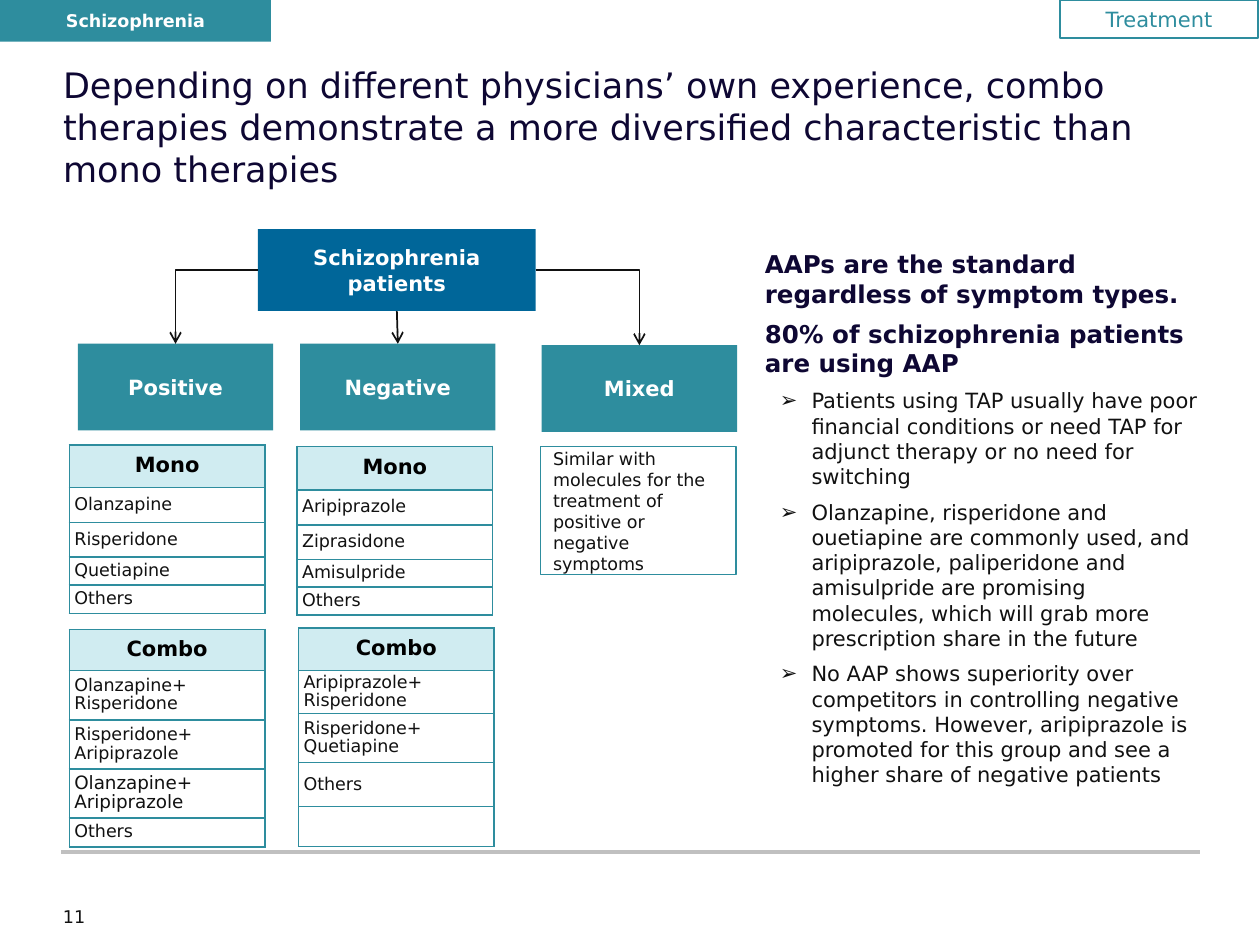
from lxml.etree import SubElement
from pptx import Presentation
from pptx.dml.color import RGBColor
from pptx.enum.shapes import MSO_CONNECTOR as Link, MSO_SHAPE as Shape
from pptx.enum.text import MSO_ANCHOR as Anchor, MSO_AUTO_SIZE as Fit, PP_ALIGN as Align
from pptx.oxml.ns import qn
from pptx.util import Cm, Pt

TEAL = RGBColor(0x2E, 0x8D, 0x9E)
PALE = RGBColor(0xD0, 0xEC, 0xF1)
BLUE = RGBColor(0x00, 0x66, 0x99)
NAVY = RGBColor(0x0E, 0x07, 0x33)
INK = RGBColor(0x11, 0x11, 0x11)
GRAY = RGBColor(0xC0, 0xC0, 0xC0)
BLACK = RGBColor(0, 0, 0)
WHITE = RGBColor(0xFF, 0xFF, 0xFF)
FONT = "DejaVu Sans"
WIDE = 3.94  # width of every group box and drug table

GROUPS = [("Positive", 1.57, 6.93), ("Negative", 6.05, 6.93), ("Mixed", 10.92, 6.96)]
TABLES = [  # left, top, row heights, head, drugs
    (1.4, 8.97, [0.86, 0.7, 0.7, 0.57, 0.57], "Mono",
     ["Olanzapine", "Risperidone", "Quetiapine", "Others"]),
    (1.4, 12.69, [0.83, 0.99, 0.99, 0.99, 0.58], "Combo",
     ["Olanzapine+ Risperidone", "Risperidone+ Aripiprazole",
      "Olanzapine+ Aripiprazole", "Others"]),
    (5.99, 9.0, [0.88, 0.7, 0.7, 0.56, 0.56], "Mono",
     ["Aripiprazole", "Ziprasidone", "Amisulpride", "Others"]),
    (6.02, 12.66, [0.86, 0.86, 0.99, 0.89, 0.8], "Combo",
     ["Aripiprazole+ Risperidone", "Risperidone+ Quetiapine", "Others", ""]),
]
CLAIMS = ["AAPs are the standard regardless of symptom types.",
          "80% of schizophrenia patients are using AAP"]
POINTS = [
    "Patients using TAP usually have poor financial conditions or need TAP for "
    "adjunct therapy or no need for switching",
    "Olanzapine, risperidone and ouetiapine are commonly used, and aripiprazole, "
    "paliperidone and amisulpride are promising molecules, which will grab more "
    "prescription share in the future",
    "No AAP shows superiority over competitors in controlling negative symptoms. "
    "However, aripiprazole is promoted for this group and see a higher share of "
    "negative patients",
]


def style(para, size, color, bold=False, align=Align.LEFT):
    para.alignment = align
    font = para.font
    font.name, font.size, font.bold = FONT, Pt(size), bold
    font.color.rgb = color


def clear(frame):
    """Remove the inner margins of a text frame or table cell."""
    frame.margin_left = frame.margin_right = 0
    frame.margin_top = frame.margin_bottom = 0


def add_title(slide, text):
    title = slide.shapes.title
    title.left, title.top, title.width, title.height = Cm(1.27), Cm(1.27), Cm(22.86), Cm(2.54)
    frame = title.text_frame
    clear(frame)
    frame.auto_size = Fit.NONE
    frame.vertical_anchor = Anchor.TOP
    frame.text = text
    style(frame.paragraphs[0], 20, NAVY)


def add_box(slide, text, place, size, color, fill=None, bold=True,
            align=Align.CENTER, wrap=True):
    """Add a filled box, or a teal outlined one when there is no fill."""
    box = slide.shapes.add_shape(Shape.RECTANGLE, *map(Cm, place))
    box.shadow.inherit = False
    if fill is None:
        box.fill.background()
        box.line.color.rgb = TEAL
        box.line.width = Pt(0.75)
    else:
        box.fill.solid()
        box.fill.fore_color.rgb = fill
        box.line.fill.background()
    frame = box.text_frame
    frame.word_wrap = wrap
    frame.vertical_anchor = Anchor.MIDDLE
    frame.text = text
    style(frame.paragraphs[0], size, color, bold, align)


def add_line(slide, start, end, color, width, bent=False, arrow=False):
    kind = Link.ELBOW if bent else Link.STRAIGHT
    line = slide.shapes.add_connector(kind, *map(Cm, start + end))
    line.line.color.rgb = color
    line.line.width = Pt(width)
    props = line._element.spPr
    if bent:
        props.find(qn("a:prstGeom")).set("prst", "bentConnector2")
    if arrow:
        SubElement(props.find(qn("a:ln")), qn("a:tailEnd"), type="arrow")
    SubElement(props, qn("a:effectLst"))


def add_edges(cell):
    props = cell._tc.get_or_add_tcPr()
    for side in ("lnL", "lnR", "lnT", "lnB"):
        edge = SubElement(props, qn(f"a:{side}"), w=str(Pt(1)))
        fill = SubElement(edge, qn("a:solidFill"))
        SubElement(fill, qn("a:srgbClr"), val=str(TEAL))


def add_drugs(slide, left, top, rows, head, drugs):
    frame = slide.shapes.add_table(len(rows), 1, Cm(left), Cm(top), Cm(WIDE), Cm(sum(rows)))
    table = frame.table
    table.horz_banding = False
    for i, (high, text) in enumerate(zip(rows, [head] + drugs)):
        table.rows[i].height = Cm(high)
        cell = table.cell(i, 0)
        add_edges(cell)
        clear(cell)
        cell.vertical_anchor = Anchor.MIDDLE
        cell.text = text
        para = cell.text_frame.paragraphs[0]
        para.line_spacing = 0.9
        if i == 0:
            cell.fill.solid()
            cell.fill.fore_color.rgb = PALE
            style(para, 12, BLACK, True, Align.CENTER)
        else:
            cell.fill.background()
            cell.margin_left = Cm(0.1)
            size = 10.5 if text == "Olanzapine+ Aripiprazole" else 10
            style(para, size, INK)


def indent(para, left, first=0):
    props = para._p.get_or_add_pPr()
    props.set("marL", str(Cm(left)))
    props.set("indent", str(Cm(first)))
    return props


def add_bullet(para):
    props = indent(para, 1.58, -0.64)
    color = SubElement(props, qn("a:buClr"))
    SubElement(color, qn("a:srgbClr"), val=str(INK))
    SubElement(props, qn("a:buFont"), typeface=FONT)
    SubElement(props, qn("a:buChar"), char="➢")


def add_notes(slide):
    """Add the claims and their bulleted points at the right."""
    box = slide.shapes.add_textbox(Cm(14.53), Cm(4.9), Cm(9.91), Cm(11.2))
    frame = box.text_frame
    frame.word_wrap = True
    for i, text in enumerate(CLAIMS + POINTS):
        para = frame.add_paragraph() if i else frame.paragraphs[0]
        para.text = text
        if i:
            para.space_before = Pt(6)
        if i < len(CLAIMS):
            indent(para, 0.64)
            style(para, 14, NAVY, True)
        else:
            para.level = 1
            add_bullet(para)
            style(para, 12, INK)


def add_page(slide, text):
    box = slide.shapes.add_textbox(Cm(1.27), Cm(18.26), Cm(1.22), Cm(0.51))
    frame = box.text_frame
    clear(frame)
    frame.word_wrap = True
    frame.text = text
    style(frame.paragraphs[0], 10, INK)


def add_tree(slide):
    left, top, wide, high = 5.2, 4.62, 5.6, 1.65
    add_box(slide, "Schizophrenia patients", (left, top, wide, high), 12, WHITE, BLUE)
    mid = top + high / 2
    starts = [(left, mid), (left + wide / 2, top + high), (left + wide, mid)]
    for (name, x, y), start in zip(GROUPS, starts):
        add_box(slide, name, (x, y, WIDE, 1.75), 12, WHITE, TEAL)
        add_line(slide, start, (x + WIDE / 2, y), INK, 1, bent=start[1] == mid, arrow=True)


def main():
    deck = Presentation()
    deck.slide_width, deck.slide_height = Cm(25.4), Cm(19.05)
    slide = deck.slides.add_slide(deck.slide_layouts[5])
    add_line(slide, (1.23, 17.17), (24.2, 17.17), GRAY, 2)
    add_page(slide, "11")
    add_title(slide, "Depending on different physicians’ own experience, combo therapies "
                     "demonstrate a more diversified characteristic than mono therapies")
    add_tree(slide)
    for spec in TABLES:
        add_drugs(slide, *spec)
    add_box(slide, "Similar with molecules for the treatment of positive or negative symptoms",
            (10.9, 9, WIDE, 2.59), 10, INK, bold=False, align=Align.LEFT)
    add_box(slide, "Schizophrenia", (0, 0, 5.46, 0.84), 10, WHITE, TEAL, wrap=False)
    add_notes(slide)
    add_box(slide, "Treatment", (21.37, 0, 3.99, 0.77), 12, TEAL, bold=False, wrap=False)
    deck.save("out.pptx")


if __name__ == "__main__":
    main()
